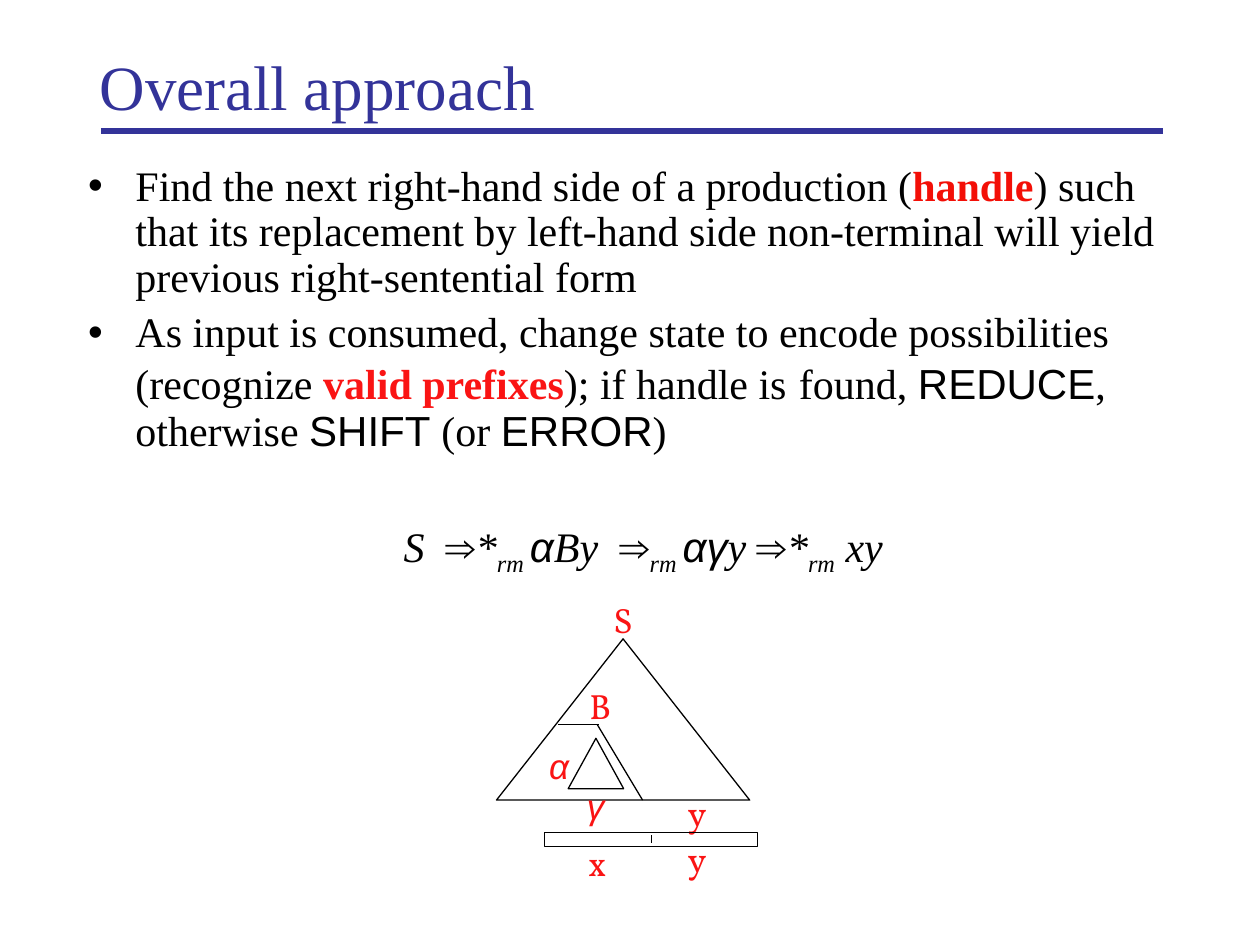
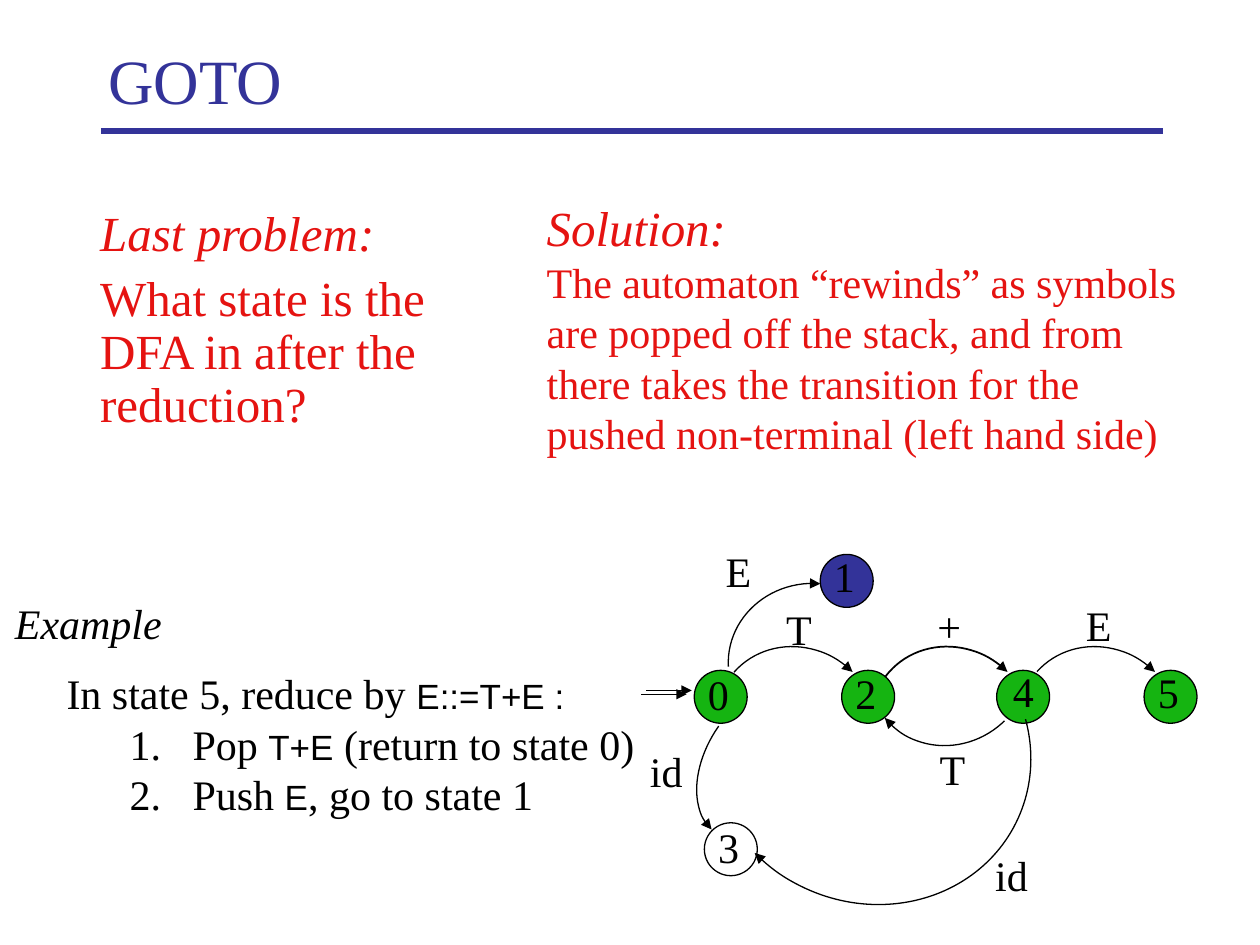
import math
from dataclasses import dataclass

from lxml import etree
from pptx import Presentation
from pptx.dml.color import RGBColor
from pptx.enum.shapes import MSO_CONNECTOR, MSO_SHAPE
from pptx.enum.text import MSO_ANCHOR, MSO_AUTO_SIZE, PP_ALIGN
from pptx.oxml.ns import qn
from pptx.util import Inches, Pt

LEFT, CENTER = PP_ALIGN.LEFT, PP_ALIGN.CENTER
MIDDLE, TOP = MSO_ANCHOR.MIDDLE, MSO_ANCHOR.TOP
FIXED = MSO_AUTO_SIZE.NONE
STRAIGHT = MSO_CONNECTOR.STRAIGHT
TRIANGLE, RECTANGLE, OVAL, ARC = (
    MSO_SHAPE.ISOSCELES_TRIANGLE, MSO_SHAPE.RECTANGLE, MSO_SHAPE.OVAL,
    MSO_SHAPE.ARC)
HEAD, TAIL = "a:headEnd", "a:tailEnd"


@dataclass(frozen=True)
class Theme:
    indigo: str = "333399"
    black: str = "000000"
    green: str = "15B411"
    scarlet: str = "FA1414"
    handle_red: str = "F30F07"
    problem_red: str = "E51311"
    serif: str = "Times New Roman"
    sans: str = "Arial"
    tree: str = "Vollkorn"
    title: int = 36
    large: int = 28
    body: int = 24
    small: int = 20
    thin: float = 0.75
    rule: int = 3


T = Theme()


def style(name=T.serif, size=T.body, color=T.black, **extra):
    return {"name": name, "size": Pt(size), "color": color, **extra}


STYLES = {
    "title": style(size=T.title, color=T.indigo),
    "body": style(),
    "handle": style(color=T.handle_red, bold=True),
    "prefix": style(color=T.scarlet, bold=True),
    "wide": style(size=T.large),
    "action": style(T.sans),
    "grammar": style(T.sans, T.small),
    "math": style(italic=True),
    "greek": style(T.sans, italic=True),
    "sub": style(italic=True, baseline=-25000),
    "gap": style(italic=True, spc=600),
    "node": style(T.tree, T.small, T.scarlet),
    "greek node": style(T.sans, T.small, T.scarlet, italic=True),
    "heading": style(size=T.large, color=T.problem_red, italic=True),
    "question": style(size=T.large, color=T.problem_red),
    "answer": style(color=T.problem_red),
}

# Paragraph layouts: margin, indent and spacing in points
LAYOUTS = {
    "plain": {},
    "first bullet": dict(margin=27, indent=-27, line=0.9, bullet="•"),
    "bullet": dict(margin=27, indent=-27, line=0.9, before=6, bullet="•"),
    "formula": dict(margin=27, indent=-27, line=0.9, before=37.5, align=CENTER),
    "problem": dict(margin=27, line=0.9),
    "question": dict(margin=27, line=0.9, before=7),
    "lead": dict(margin=36, indent=-36),
    "step": dict(margin=72, indent=-36, bullet="1.", level=1),
}

APPROACH = [
    ("first bullet", [
        ("Find the next right-hand side of a production (", "body"),
        ("handle", "handle"),
        (") such that its replacement by left-hand side non-terminal will "
         "yield previous right-sentential form", "body")]),
    ("bullet", [
        ("As input is consumed, change state to encode possibilities "
         "(recognize ", "body"),
        ("valid prefixes", "prefix"), ("); if handle is", "body"),
        (" ", "wide"), ("found, ", "body"), ("REDUCE", "action"),
        (", otherwise ", "body"), ("SHIFT ", "action"), ("(or ", "body"),
        ("ERROR", "action"), (")", "body")]),
    ("formula", [
        ("S", "math"), (" ", "gap"), ("⇒", "greek"), ("*", "math"),
        ("rm ", "sub"), ("α", "greek"), ("By", "math"), (" ", "gap"),
        ("⇒", "greek"), ("rm ", "sub"), ("αγ", "greek"), ("y ", "math"),
        ("⇒", "greek"), ("*", "math"), ("rm", "sub"), (" xy", "math")]),
]
TREE_TRIANGLES = [(3.94, 5.07, 2.01, 1.28), (4.51, 5.86, 0.44, 0.4)]
TREE_LINES = [(4.43, 5.75, 4.75, 5.75), (4.74, 5.75, 5.1, 6.35)]
TREE_LABELS = [
    ("S", 4.77, 4.7, "node"), ("B", 4.58, 5.38, "node"),
    ("α", 4.26, 5.86, "greek node"), ("γ", 4.56, 6.18, "greek node"),
    ("x", 4.57, 6.63, "node"), ("y", 5.36, 6.6, "node"),
    ("y", 5.36, 6.23, "node"),
]
INPUT_TAPE = (4.32, 6.61, 1.69, 0.11)
TAPE_SPLIT = (5.17, 6.63, 5.17, 6.69)

PROBLEM = [
    ("problem", [("Last problem:", "heading")]),
    ("question", [("What state is the DFA in after the reduction?", "question")]),
]
SOLUTION = [
    ("plain", [("Solution:", "heading")]),
    ("plain", [("The automaton “rewinds” as symbols are popped off the stack, "
                "and from there takes the transition for the pushed "
                "non-terminal (left hand side)", "answer")]),
]
EXAMPLE = [
    ("lead", [("In state 5, reduce by ", "body"), ("E::=T+E :", "grammar")]),
    ("step", [("Pop ", "body"), ("T+E", "grammar"),
              (" (return to state 0)", "body")]),
    ("step", [("Push ", "body"), ("E", "grammar"),
              (", go to state 1", "body")]),
]
STATE_SIZE = 0.42
# State, circle left and top, label left and top, fill
STATES = [
    ("0", 5.51, 5.32, 5.52, 5.26, T.green),
    ("1", 6.51, 4.4, 6.52, 4.32, T.indigo),
    ("2", 6.68, 5.32, 6.69, 5.25, T.green),
    ("3", 5.59, 6.53, 5.6, 6.47, None),
    ("4", 7.91, 5.32, 7.94, 5.23, T.green),
    ("5", 9.08, 5.32, 9.09, 5.24, T.green),
]
# Symbol, its left and top, ellipse box, its rotation,
# clockwise start and end of the arc, arrow end, line width
TRANSITIONS = [
    ("T", 6.14, 4.74, (5.7, 5.11, 1.25, 1.33), 312,
     (5.83, 5.34), (6.76, 5.34), TAIL, T.thin),
    ("E", 5.66, 4.28, (5.82, 4.59, 1.25, 1.33), 267.2,
     (5.78, 5.29), (6.51, 4.64), TAIL, T.thin),
    ("+", 7.34, 4.72, (6.93, 5.11, 1.25, 1.33), 312,
     (7.03, 5.37), (8, 5.33), TAIL, 1),
    ("E", 8.52, 4.71, (8.1, 5.11, 1.25, 1.33), 312,
     (8.23, 5.33), (9.16, 5.34), TAIL, T.thin),
    ("id", 5.06, 5.87, (5.38, 5.56, 1.42, 0.94), 125.2,
     (5.65, 6.58), (5.7, 5.76), HEAD, T.thin),
    ("id", 7.8, 6.69, (5.59, 4.74, 2.61, 2.42), 26.4,
     (8.13, 5.71), (5.99, 6.77), TAIL, T.thin),
    ("T", 7.36, 5.85, (6.91, 4.61, 1.25, 1.33), 48,
     (7.98, 5.73), (7.02, 5.7), TAIL, T.thin),
]
START_ARROWS = [(5.09, 5.51, 5.45, 5.51), (5.13, 5.48, 5.49, 5.48)]


def inches(values):
    return [Inches(value) for value in values]


def add_run(paragraph, text, style_name):
    run = paragraph.add_run()
    run.text = text
    for key, value in STYLES[style_name].items():
        if key == "color":
            run.font.color.rgb = RGBColor.from_string(value)
        elif key in ("baseline", "spc"):
            run._r.get_or_add_rPr().set(key, str(value))
        else:
            setattr(run.font, key, value)


def format_paragraph(paragraph, margin=0, indent=0, line=1.0, before=0,
                     align=LEFT, bullet=None, level=0):
    settings = {"line_spacing": line, "space_before": Pt(before),
                "space_after": Pt(0), "alignment": align, "level": level}
    for key, value in settings.items():
        setattr(paragraph, key, value)
    props = paragraph._p.get_or_add_pPr()
    props.set("marL", str(Pt(margin)))
    props.set("indent", str(Pt(indent)))
    if bullet is None:
        etree.SubElement(props, qn("a:buNone"))
        return
    color = etree.SubElement(props, qn("a:buClr"))
    etree.SubElement(color, qn("a:srgbClr"), val=T.black)
    font = T.serif if bullet == "1." else T.sans
    etree.SubElement(props, qn("a:buFont"), typeface=font)
    if bullet == "1.":
        etree.SubElement(props, qn("a:buAutoNum"), type="arabicPeriod")
    else:
        etree.SubElement(props, qn("a:buChar"), char=bullet)


def write(shape, paragraphs, box=None, anchor=TOP, wrap=True):
    if box:
        shape.left, shape.top, shape.width, shape.height = inches(box)
    frame = shape.text_frame
    settings = {"word_wrap": wrap, "auto_size": FIXED, "vertical_anchor": anchor,
                "margin_left": Inches(0.1), "margin_right": Inches(0.1),
                "margin_top": Inches(0.05), "margin_bottom": Inches(0.05)}
    for key, value in settings.items():
        setattr(frame, key, value)
    for index, (layout, runs) in enumerate(paragraphs):
        paragraph = frame.add_paragraph() if index else frame.paragraphs[0]
        format_paragraph(paragraph, **LAYOUTS[layout])
        for text, style_name in runs:
            add_run(paragraph, text, style_name)


def add_text(slide, paragraphs, box, wrap=True):
    write(slide.shapes.add_textbox(*inches(box)), paragraphs, wrap=wrap)


def add_label(slide, text, left, top, style_name="body", width=0.39, height=0.5):
    add_text(slide, [("plain", [(text, style_name)])],
             (left, top, width, height), wrap=False)


def set_line(shape, width, color=T.black, arrow=None):
    shape.line.color.rgb = RGBColor.from_string(color)
    shape.line.width = Pt(width)
    if arrow:
        etree.SubElement(shape.line._get_or_add_ln(), qn(arrow), type="triangle")


def add_outline(shapes, kind, box, fill=None, width=T.thin, arrow=None):
    shape = shapes.add_shape(kind, *inches(box))
    shape.shadow.inherit = False
    if fill:
        shape.fill.solid()
        shape.fill.fore_color.rgb = RGBColor.from_string(fill)
    else:
        shape.fill.background()
    set_line(shape, width, arrow=arrow)
    return shape


def add_line(shapes, ends, width=T.thin, color=T.black, arrow=None):
    line = shapes.add_connector(STRAIGHT, *inches(ends))
    set_line(line, width, color, arrow)
    etree.SubElement(line._element.spPr, qn("a:effectLst"))


def add_arc(shapes, box, rotation, ends, arrow, width):
    """Draw the part of a rotated ellipse that runs clockwise between two points."""
    arc = add_outline(shapes, ARC, box, width=width, arrow=arrow)
    arc.rotation = rotation
    left, top, across, down = box
    for index, (x, y) in enumerate(ends):
        seen = math.atan2(y - top - down / 2, x - left - across / 2)
        angle = (math.degrees(seen) - rotation) % 360
        arc.adjustments[index] = angle * 0.6  # 60000 units a degree, in 100000ths


def new_slide(deck, title, title_box, body, body_box):
    slide = deck.slides.add_slide(deck.slide_layouts[1])
    add_line(slide.shapes, (0.8, 1.04, 9.23, 1.04), T.rule, T.indigo)
    write(slide.shapes.title, [("plain", [(title, "title")])], title_box, MIDDLE)
    write(slide.placeholders[1], body, body_box)
    return slide


def build_approach(deck):
    slide = new_slide(deck, "Overall approach", (0.69, 0.32, 8.5, 0.71),
                      APPROACH, (0.6, 1.26, 9.01, 6.24))
    tree = slide.shapes.add_group_shape().shapes
    for box in TREE_TRIANGLES:
        add_outline(tree, TRIANGLE, box)
    for ends in TREE_LINES:
        add_line(tree, ends)
    for text, left, top, style_name in TREE_LABELS:
        add_label(slide, text, left, top, style_name, 0.35, 0.44)
    add_outline(slide.shapes, RECTANGLE, INPUT_TAPE)
    add_line(slide.shapes, TAPE_SPLIT)


def build_goto(deck):
    slide = new_slide(deck, "GOTO", (0.76, 0.2, 8.5, 0.86),
                      PROBLEM, (0.32, 1.61, 3.78, 1.89))
    add_text(slide, SOLUTION, (4.24, 1.52, 5.38, 2.57))
    add_label(slide, "Example", 0.02, 4.69, "math", 1.46)
    add_text(slide, EXAMPLE, (0.43, 5.25, 4.76, 1.7))
    for state, left, top, label_left, label_top, fill in STATES:
        add_outline(slide.shapes, OVAL, (left, top, STATE_SIZE, STATE_SIZE), fill)
        add_label(slide, state, label_left, label_top)
    for symbol, left, top, box, rotation, start, end, arrow, width in TRANSITIONS:
        add_arc(slide.shapes, box, rotation, (start, end), arrow, width)
        add_label(slide, symbol, left, top, width=0.49 if symbol == "id" else 0.39)
    for ends in START_ARROWS:
        add_line(slide.shapes, ends, arrow=TAIL)


def main():
    deck = Presentation()
    deck.slide_width, deck.slide_height = Inches(10), Inches(7.5)
    build_approach(deck)
    build_goto(deck)
    deck.save("out.pptx")


if __name__ == "__main__":
    main()
